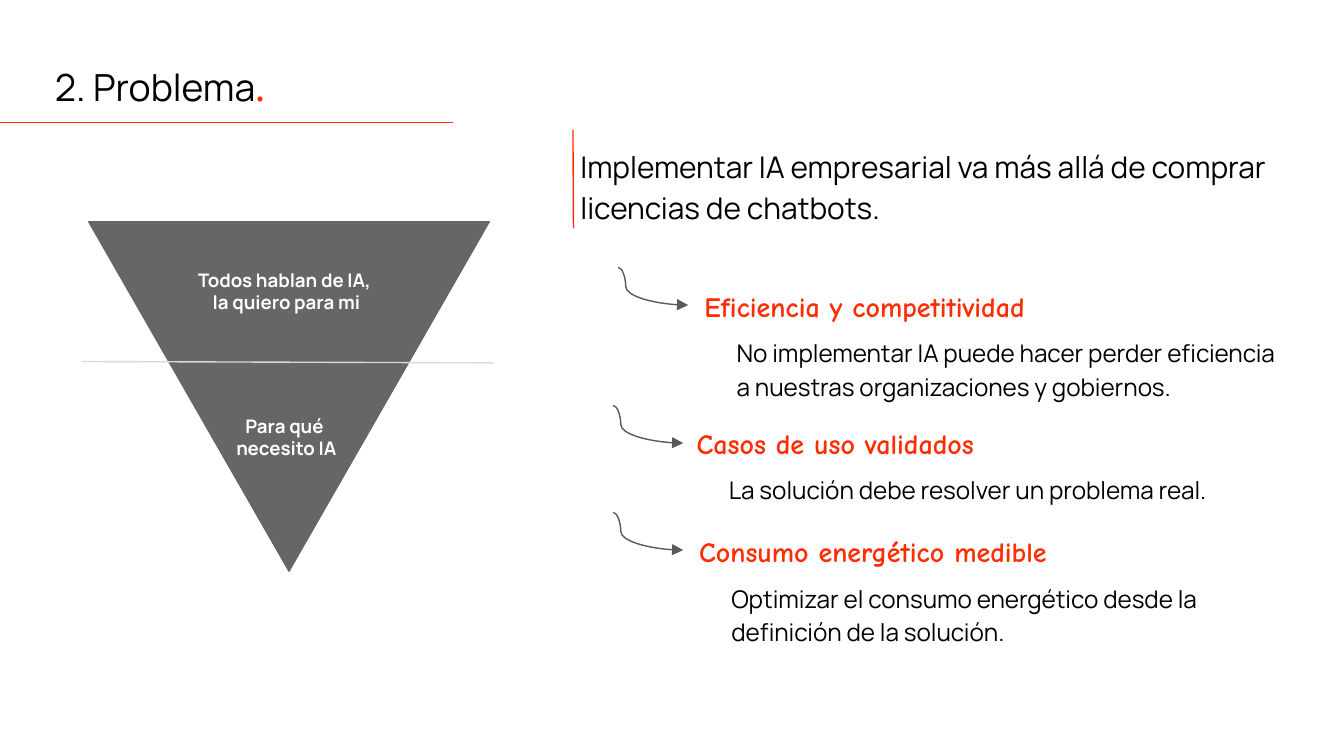
from pptx import Presentation
from pptx.dml.color import RGBColor as Rgb
from pptx.enum.shapes import MSO_CONNECTOR as Conn, MSO_SHAPE as Kind
from pptx.enum.text import MSO_ANCHOR as Anchor, PP_ALIGN as Align
from pptx.oxml.ns import qn
from pptx.util import Inches, Pt
from lxml.etree import SubElement as Sub

COLS = 100
ROWS = COLS * 9 / 16
RED, BLACK, GREY = "FF2D01", "000000", "666666"


def tint(code):
    return Rgb.from_string(code)


def write(para, text, size=13, font="Manrope", color=BLACK, bold=False):
    run = para.add_run()
    run.text = text
    run.font.size = Pt(size)
    run.font.name = font
    run.font.bold = bold
    run.font.color.rgb = tint(color)


class Deck:
    def __init__(self):
        self.file = Presentation()
        self.file.slide_width = Inches(10)
        self.file.slide_height = Inches(10 * 9 / 16)
        self.page = self.file.slides.add_slide(self.file.slide_layouts[6])

    def grid(self, col, row):
        return (round(self.file.slide_width * col / COLS),
                round(self.file.slide_height * row / ROWS))

    def text(self, col, row, wide, high, *lines, align=Align.LEFT,
             anchor=Anchor.TOP, space=1.0, **style):
        box = self.page.shapes.add_textbox(*self.grid(col, row), *self.grid(wide, high))
        frame = box.text_frame
        frame.word_wrap = True
        frame.vertical_anchor = anchor
        frame.margin_left = frame.margin_right = Inches(0.1)
        frame.margin_top = frame.margin_bottom = Inches(0.1)
        for num, line in enumerate(lines):
            para = frame.add_paragraph() if num else frame.paragraphs[0]
            para.alignment = align
            para.line_spacing = space
            write(para, line, **style)
        return frame

    def line(self, start, end, color, kind=Conn.STRAIGHT):
        link = self.page.shapes.add_connector(kind, *self.grid(*start), *self.grid(*end))
        link.line.color.rgb = tint(color)
        link.line.width = Pt(0.75)
        Sub(link._element.spPr, qn("a:effectLst"))
        return link

    def arrow(self, col, row):
        link = self.line((col, row), (col + 5.2, row + 2.8), "595959", Conn.CURVE)
        bend = link._element.spPr.find(qn("a:prstGeom")).find(qn("a:avLst"))
        Sub(bend, qn("a:gd"), name="adj1", fmla="val 10700")
        Sub(link.line._get_or_add_ln(), qn("a:tailEnd"), type="triangle")

    def cone(self, col, row, wide, high, color):
        form = self.page.shapes.add_shape(
            Kind.ISOSCELES_TRIANGLE, *self.grid(col, row), *self.grid(wide, high))
        form.rotation = 180
        form.shadow.inherit = False
        form.fill.solid()
        form.fill.fore_color.rgb = tint(color)
        form.line.color.rgb = tint(color)
        form.line.width = Pt(0.75)

    def label(self, row, high, *lines):
        self.text(8.2, row, 26.2, high, *lines, align=Align.CENTER,
                  size=10, color="FFFFFF", bold=True)

    def point(self, col, row, left, top, head, body):
        self.text(left + 2.4, top + 3.35, 42.6, 6.7, body, space=1.15)
        self.text(left, top, 32.8, 4.5, head,
                  size=15, font="Comic Neue", color=RED, bold=True)
        self.arrow(col, row)


def main():
    deck = Deck()
    title = deck.text(3.1, 3.3, 83, 5.8, "2. Problema",
                      anchor=Anchor.BOTTOM, space=1.15, size=20)
    write(title.paragraphs[0], ".", size=20, font="Comfortaa", color=RED, bold=True)
    deck.line((0, 9.1), (33.7, 9.1), RED)

    deck.cone(6.6, 16.5, 29.8, 26, GREY)
    deck.label(19, 5.1, "Todos hablan de IA, ", "la quiero para mi")
    deck.line((6.1, 26.9), (36.7, 27), "D9D9D9")
    deck.label(29.85, 3.4, "Para qué ", "necesito IA")

    deck.line((42.63, 9.65), (42.67, 17), RED)
    deck.text(42.2, 9.65, 55.4, 7.8,
              "Implementar IA empresarial va más allá de comprar licencias de chatbots.",
              space=1.15, size=16)

    points = [
        (46, 19.9, 51.43, 20.53, "Eficiencia y competitividad",
         "No implementar IA puede hacer perder eficiencia a nuestras organizaciones y gobiernos."),
        (45.63, 30.17, 50.85, 30.7, "Casos de uso validados",
         "La solución debe resolver un problema real."),
        (45.63, 38.13, 51.03, 38.78, "Consumo energético medible",
         "Optimizar el consumo energético desde la definición de la solución."),
    ]
    for point in points:
        deck.point(*point)
    deck.file.save("out.pptx")


if __name__ == "__main__":
    main()
